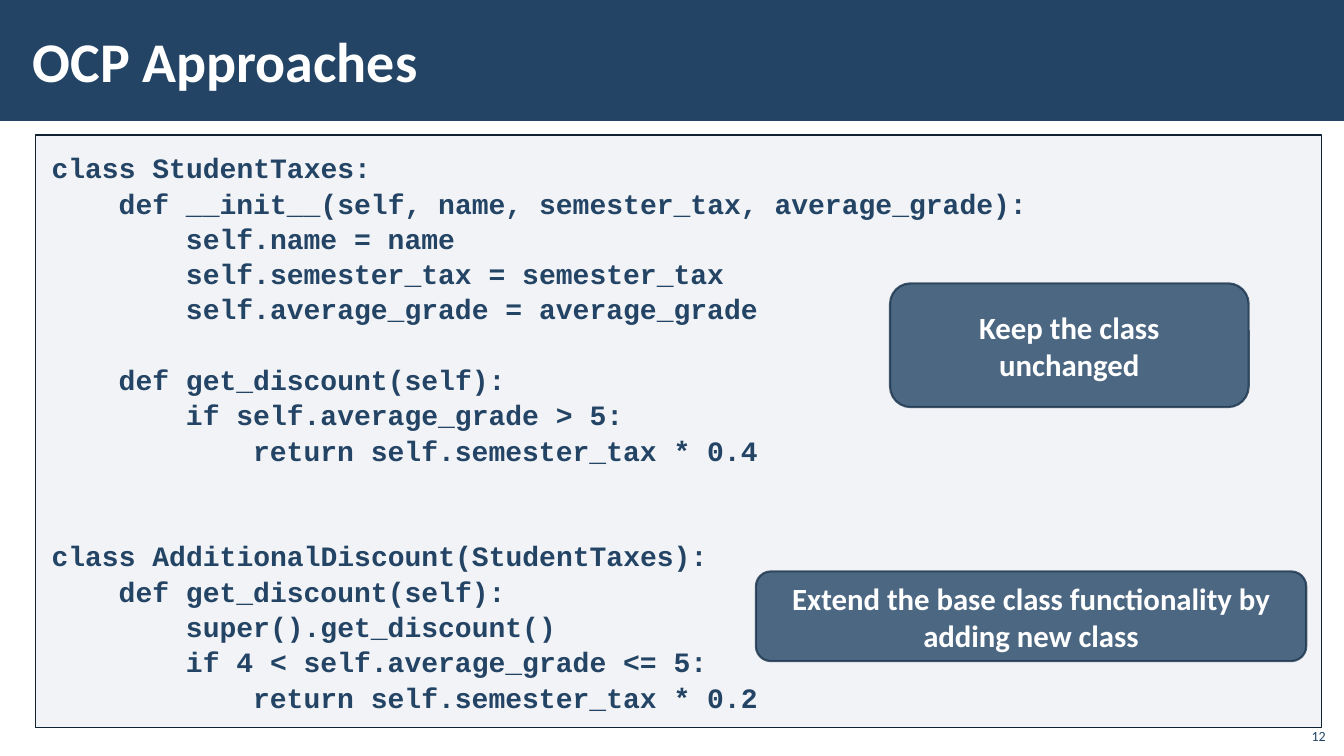
"""Build the slide on open-closed principle approaches with its code sample."""
import pptx
import pptx.util
import pptx.dml.color
import pptx.enum.shapes
import pptx.enum.text
import lxml.etree

Cm, Pt = pptx.util.Cm, pptx.util.Pt
ALIGN, ANCHOR = pptx.enum.text.PP_ALIGN, pptx.enum.text.MSO_ANCHOR
SHAPE = pptx.enum.shapes.MSO_SHAPE

NAVY, DARK, MIST, WHITE = "234465", "1A334C", "ADB4C3", "FFFFFF"
LINE_PITCH = 25.2
INDENT_STEP = 48

# Each code line: indent level, blank lines above it, wording
CODE = [
    (0, 0, "class StudentTaxes:"),
    (1, 0, "def __init__(self, name, semester_tax, average_grade):"),
    (2, 0, "self.name = name"),
    (2, 0, "self.semester_tax = semester_tax"),
    (2, 0, "self.average_grade = average_grade"),
    (1, 1, "def get_discount(self):"),
    (2, 0, "if self.average_grade > 5:"),
    (3, 0, "return self.semester_tax * 0.4"),
    (0, 2, "class AdditionalDiscount(StudentTaxes):"),
    (1, 0, "def get_discount(self):"),
    (2, 0, "super().get_discount()"),
    (2, 0, "if 4 < self.average_grade <= 5:"),
    (3, 0, "return self.semester_tax * 0.2"),
]
CALLOUTS = [
    ("Keep the class unchanged", (22.43, 7.14, 9.04, 3.12)),
    ("Extend the base class functionality by adding new class", (19.05, 14.4, 13.87, 2.26)),
]
TITLE_FONT = {"name": "Calibri", "size": Pt(40), "bold": True}
CALLOUT_FONT = {"name": "Calibri", "size": Pt(22), "bold": True}
CODE_FONT = {"name": "Courier New", "size": Pt(20), "bold": True}
NUMBER_FONT = {"name": "Calibri", "size": Pt(10), "bold": False}


def paint(color_format, color, alpha=100):
    """Set a hex colour and, when below 100, its opacity in percent."""
    color_format.rgb = pptx.dml.color.RGBColor.from_string(color)
    if alpha < 100:
        for node in color_format._xFill.iter(pptx.oxml.ns.qn("a:srgbClr")):
            tag = pptx.oxml.ns.qn("a:alpha")
            lxml.etree.SubElement(node, tag).set("val", str(alpha * 1000))


def add_panel(page, kind, place, fill, alpha=100, line=None, width=1, line_alpha=100):
    """Add a filled preset shape, with an outline when a line colour is given."""
    panel = page.shapes.add_shape(kind, *map(Cm, place))
    panel.shadow.inherit = False
    panel.fill.solid()
    paint(panel.fill.fore_color, fill, alpha)
    if line:
        panel.line.width = Pt(width)
        paint(panel.line.color, line, line_alpha)
    else:
        panel.line.fill.background()
    return panel


def set_frame(box, anchor, insets=(0.25, 0.13, 0.25, 0.13)):
    """Set wrapping, anchor and insets, and return the text frame."""
    frame = box.text_frame
    sides = ("left", "top", "right", "bottom")
    values = {f"margin_{side}": Cm(inset) for side, inset in zip(sides, insets)}
    values.update(word_wrap=True, vertical_anchor=anchor)
    for name, value in values.items():
        setattr(frame, name, value)
    return frame


def write(para, text, font, color, align=ALIGN.LEFT):
    """Write one formatted span into a paragraph."""
    para.alignment = align
    span = para.add_run()
    span.text = text
    for name, value in font.items():
        setattr(span.font, name, value)
    paint(span.font.color, color)


deck = pptx.Presentation()
deck.slide_width, deck.slide_height = Cm(33.87), Cm(19.05)
page = deck.slides.add_slide(deck.slide_layouts[6])

add_panel(page, SHAPE.RECTANGLE, (0, 0, 33.87, 3.05), NAVY)

number = page.shapes.add_textbox(*map(Cm, (32.64, 18.08, 1.02, 0.81)))
write(set_frame(number, ANCHOR.BOTTOM).paragraphs[0], "12", NUMBER_FONT, NAVY, ALIGN.RIGHT)

code_panel = add_panel(page, SHAPE.RECTANGLE, (0.89, 3.4, 32.41, 14.94), MIST, 15, "112233")
code_frame = set_frame(code_panel, ANCHOR.TOP, (0.41, 0.36, 0.41, 0.3))
for index, (level, blanks, text) in enumerate(CODE):
    para = code_frame.add_paragraph() if index else code_frame.paragraphs[0]
    para.line_spacing = Pt(LINE_PITCH)
    para.space_before = Pt(blanks * LINE_PITCH)
    para._p.get_or_add_pPr().set("marL", str(Pt(level * INDENT_STEP)))
    write(para, text, CODE_FONT, NAVY)

title = page.shapes.add_textbox(*map(Cm, (0.53, 0.28, 27, 2.46)))
title_frame = set_frame(title, ANCHOR.MIDDLE, (0.3, 0.1, 0.3, 0.1))
write(title_frame.paragraphs[0], "OCP Approaches", TITLE_FONT, WHITE)

for text, place in CALLOUTS:
    callout = add_panel(page, SHAPE.ROUNDED_RECTANGLE, place, NAVY, 80, DARK, 1.5, 80)
    callout_frame = set_frame(callout, ANCHOR.MIDDLE)
    write(callout_frame.paragraphs[0], text, CALLOUT_FONT, WHITE, ALIGN.CENTER)

deck.save("out.pptx")
